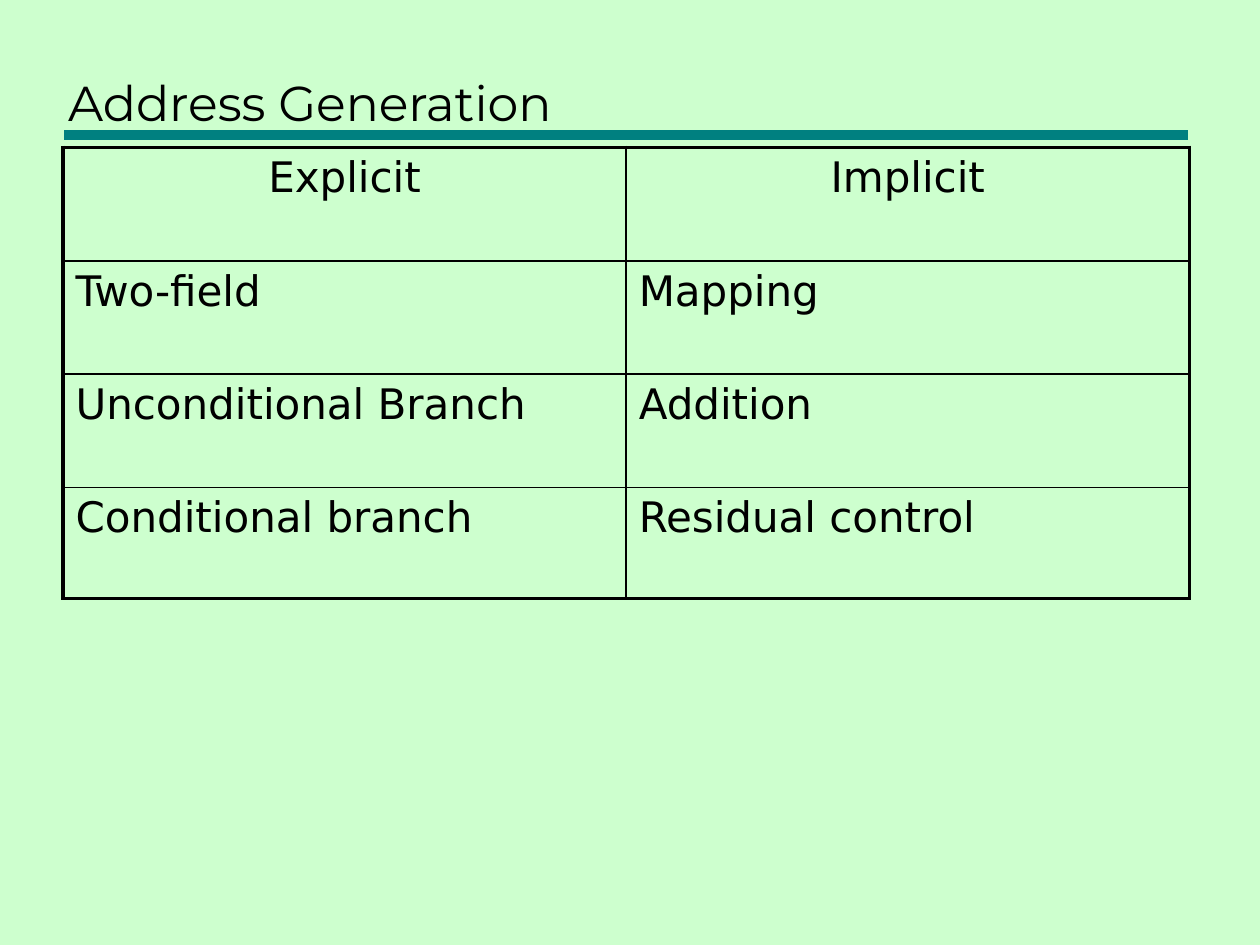
from lxml.etree import SubElement
from pptx import Presentation
from pptx.dml.color import RGBColor
from pptx.enum.shapes import MSO_CONNECTOR
from pptx.enum.text import MSO_ANCHOR, PP_ALIGN
from pptx.oxml.ns import qn
from pptx.util import Inches, Pt

MINT = RGBColor(0xCD, 0xFF, 0xCE)
TEAL = RGBColor(0x00, 0x80, 0x80)
BLACK = RGBColor(0x00, 0x00, 0x00)


def write(frame, text, size, face, align=PP_ALIGN.LEFT):
    para = frame.paragraphs[0]
    para.alignment = align
    run = para.add_run()
    run.text = text
    run.font.size = Pt(size)
    run.font.name = face
    run.font.bold = False
    run.font.color.rgb = BLACK


def edge(cell, side, width):
    """Draw one border of a cell; side is L, R, T or B."""
    line = SubElement(cell._tc.get_or_add_tcPr(), qn("a:ln" + side), w=str(Pt(width)))
    fill = SubElement(line, qn("a:solidFill"))
    SubElement(fill, qn("a:srgbClr"), val=str(BLACK))


deck = Presentation()
deck.slide_width, deck.slide_height = Inches(10), Inches(7.5)
slide = deck.slides.add_slide(deck.slide_layouts[5])
slide.background.fill.solid()
slide.background.fill.fore_color.rgb = MINT

title = slide.shapes.title
title.left, title.top = Inches(0.44), Inches(0.17)
title.width, title.height = Inches(8.97), Inches(0.92)
title.text_frame.vertical_anchor = MSO_ANCHOR.BOTTOM
write(title.text_frame, "Address Generation", size=28, face="Montserrat")

rule = slide.shapes.add_connector(
    MSO_CONNECTOR.STRAIGHT, Inches(0.51), Inches(1.07), Inches(9.43), Inches(1.07))
rule.line.color.rgb = TEAL
rule.line.width = Pt(6)
SubElement(rule._element.spPr, qn("a:effectLst"))

rows = [
    ("Explicit", "Implicit"),
    ("Two-field", "Mapping"),
    ("Unconditional Branch", "Addition"),
    ("Conditional branch", "Residual control"),
]
tall = [0.9, 0.9, 0.9, 0.88]
table = slide.shapes.add_table(
    len(rows), 2, Inches(0.5), Inches(1.17), Inches(8.94), Inches(sum(tall))).table
table.first_row = table.horz_banding = False

for r, row in enumerate(rows):
    table.rows[r].height = Inches(tall[r])
    for c, text in enumerate(row):
        cell = table.cell(r, c)
        outer = {"L": c == 0, "R": c == 1, "T": r == 0, "B": r == len(rows) - 1}
        for side, thick in outer.items():
            edge(cell, side, 2.25 if thick else 1)
        cell.fill.background()
        write(cell.text_frame, text, size=24, face="DejaVu Sans",
              align=PP_ALIGN.CENTER if r == 0 else PP_ALIGN.LEFT)

deck.save("out.pptx")
